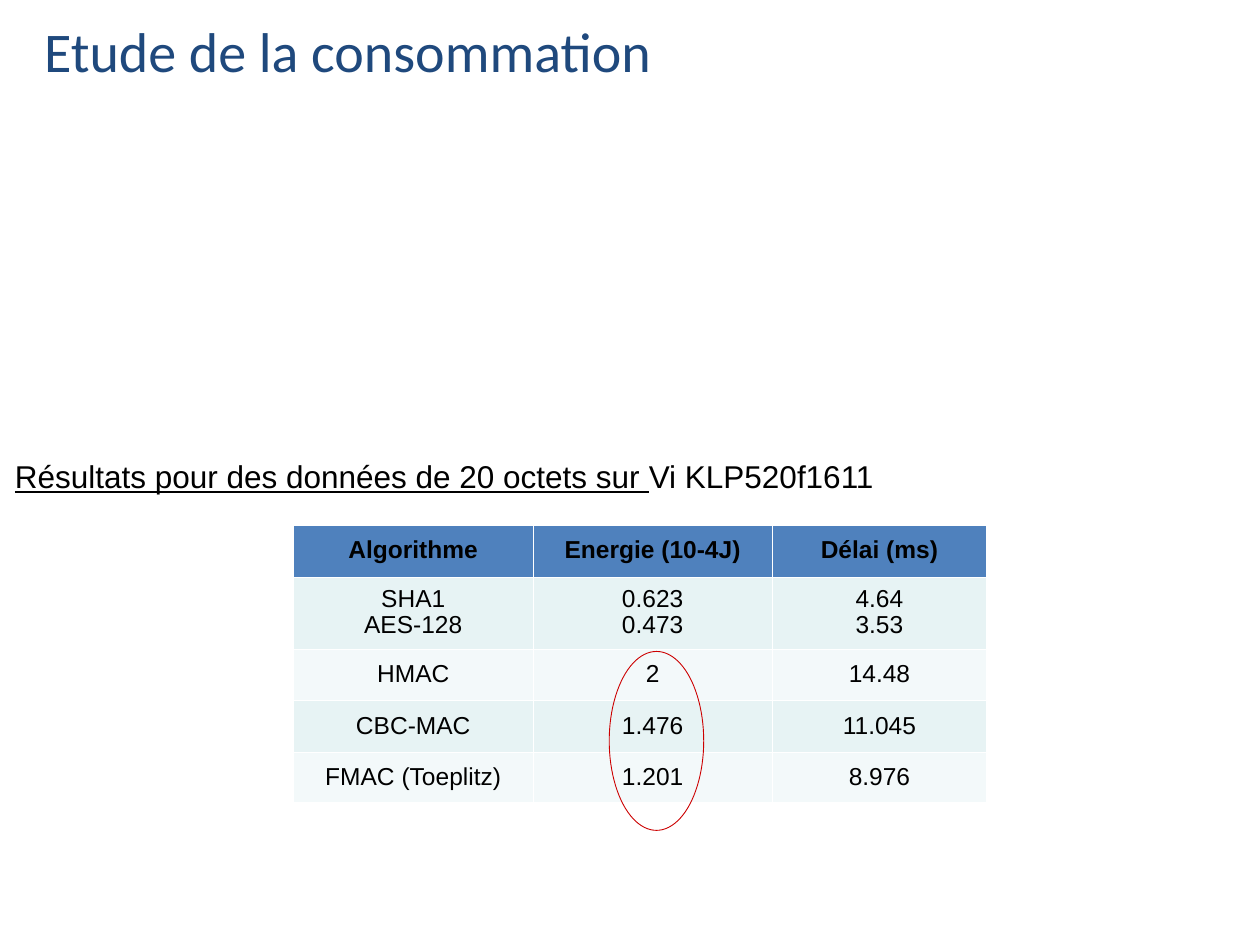
from dataclasses import dataclass

from lxml.etree import SubElement
from pptx import Presentation
from pptx.dml.color import RGBColor
from pptx.enum.shapes import MSO_SHAPE
from pptx.enum.text import MSO_ANCHOR, MSO_AUTO_SIZE, PP_ALIGN
from pptx.oxml.ns import qn
from pptx.util import Inches, Pt

TITLE = "Etude de la consommation"
CAPTION = [("Résultats pour des données de 20 octets sur ", True), ("Vi KLP520f1611", False)]
RESULTS = [
    ("Algorithme", "Energie (10-4J)", "Délai (ms)"),
    ("SHA1\nAES-128", "0.623\n0.473", "4.64\n3.53"),
    ("HMAC", "2", "14.48"),
    ("CBC-MAC", "1.476", "11.045"),
    ("FMAC (Toeplitz)", "1.201", "8.976"),
]
COLUMN_WIDTHS = (1.9, 1.9, 1.7)
ROW_HEIGHTS = (0.41, 0.57, 0.41, 0.41, 0.4)
TABLE_LEFT, TABLE_TOP = 2.33, 4.17
ENERGY_COLUMN, FIRST_MAC_ROW = 1, 2


@dataclass(frozen=True)
class Theme:
    title: str = "1F497D"
    text: str = "000000"
    header: str = "4F81BD"
    bands: tuple = ("F3F9FA", "E7F3F4")
    border: str = "FFFFFF"
    highlight: str = "CC0000"
    title_font: str = "Calibri"
    body_font: str = "Arial"
    title_size: int = 32
    caption_size: int = 18
    table_size: int = 14
    thin: float = 0.23
    thick: float = 0.75


THEME = Theme()


def add_text(paragraph, text, *, size, color=THEME.text, font=THEME.body_font,
             bold=False, underline=False, align=PP_ALIGN.LEFT, line_spacing=1.0):
    paragraph.alignment = align
    paragraph.line_spacing = line_spacing
    run = paragraph.add_run()
    run.text = text
    run.font.name = font
    run.font.size = Pt(size)
    run.font.bold = bold
    run.font.underline = underline
    run.font.color.rgb = RGBColor.from_string(color)


def set_borders(cell, **widths):
    """Draw the four cell borders; they must precede the fill in the XML."""
    properties = cell._tc.get_or_add_tcPr()
    for position, side in enumerate("LRTB"):
        line = SubElement(properties, qn(f"a:ln{side}"),
                          w=str(Pt(widths.get(side, THEME.thin))))
        fill = SubElement(line, qn("a:solidFill"))
        SubElement(fill, qn("a:srgbClr"), val=THEME.border)
        properties.insert(position, line)


def add_title(slide):
    title = slide.shapes.title
    title.left, title.top = Inches(0.25), Inches(0.17)
    title.width, title.height = Inches(9), Inches(0.45)
    frame = title.text_frame
    frame.auto_size = MSO_AUTO_SIZE.NONE
    frame.vertical_anchor = MSO_ANCHOR.MIDDLE
    add_text(frame.paragraphs[0], TITLE, size=THEME.title_size,
             color=THEME.title, font=THEME.title_font)


def add_results(slide):
    table = slide.shapes.add_table(
        len(RESULTS), len(COLUMN_WIDTHS), Inches(TABLE_LEFT), Inches(TABLE_TOP),
        Inches(sum(COLUMN_WIDTHS)), Inches(sum(ROW_HEIGHTS))).table
    for column, width in zip(table.columns, COLUMN_WIDTHS):
        column.width = Inches(width)
    for row_index, (values, height) in enumerate(zip(RESULTS, ROW_HEIGHTS)):
        table.rows[row_index].height = Inches(height)
        is_header = row_index == 0
        background = THEME.header if is_header else THEME.bands[row_index % 2]
        rule = {0: {"B": THEME.thick}, 1: {"T": THEME.thick}}.get(row_index, {})
        for column_index, value in enumerate(values):
            cell = table.cell(row_index, column_index)
            cell.vertical_anchor = MSO_ANCHOR.MIDDLE
            cell.fill.solid()
            cell.fill.fore_color.rgb = RGBColor.from_string(background)
            set_borders(cell, **rule)
            frame = cell.text_frame
            for line_index, line in enumerate(value.split("\n")):
                paragraph = frame.add_paragraph() if line_index else frame.paragraphs[0]
                add_text(paragraph, line, size=THEME.table_size, bold=is_header,
                         align=PP_ALIGN.CENTER, line_spacing=0.93)


def add_caption(slide):
    caption = slide.shapes.add_textbox(Inches(0.02), Inches(3.58), Inches(7.09), Inches(0.4))
    frame = caption.text_frame
    frame.word_wrap = False
    frame.auto_size = MSO_AUTO_SIZE.SHAPE_TO_FIT_TEXT
    for text, underline in CAPTION:
        add_text(frame.paragraphs[0], text, size=THEME.caption_size, underline=underline)


def add_highlight(slide):
    """Ring the energy values of the MAC algorithms."""
    width, height = 0.75, 1.42
    column_center = (TABLE_LEFT + sum(COLUMN_WIDTHS[:ENERGY_COLUMN])
                     + COLUMN_WIDTHS[ENERGY_COLUMN] / 2)
    left = column_center - width / 2 + 0.03
    top = TABLE_TOP + sum(ROW_HEIGHTS[:FIRST_MAC_ROW]) + 0.02
    ring = slide.shapes.add_shape(MSO_SHAPE.OVAL, Inches(left), Inches(top),
                                  Inches(width), Inches(height))
    ring.shadow.inherit = False
    ring.fill.background()
    ring.line.color.rgb = RGBColor.from_string(THEME.highlight)
    ring.line.width = Pt(0.5)


def main():
    deck = Presentation()
    deck.slide_width, deck.slide_height = Inches(10), Inches(7.5)
    slide = deck.slides.add_slide(deck.slide_layouts.get_by_name("Title Only"))
    add_title(slide)
    add_results(slide)
    add_caption(slide)
    add_highlight(slide)
    deck.save("out.pptx")


if __name__ == "__main__":
    main()
